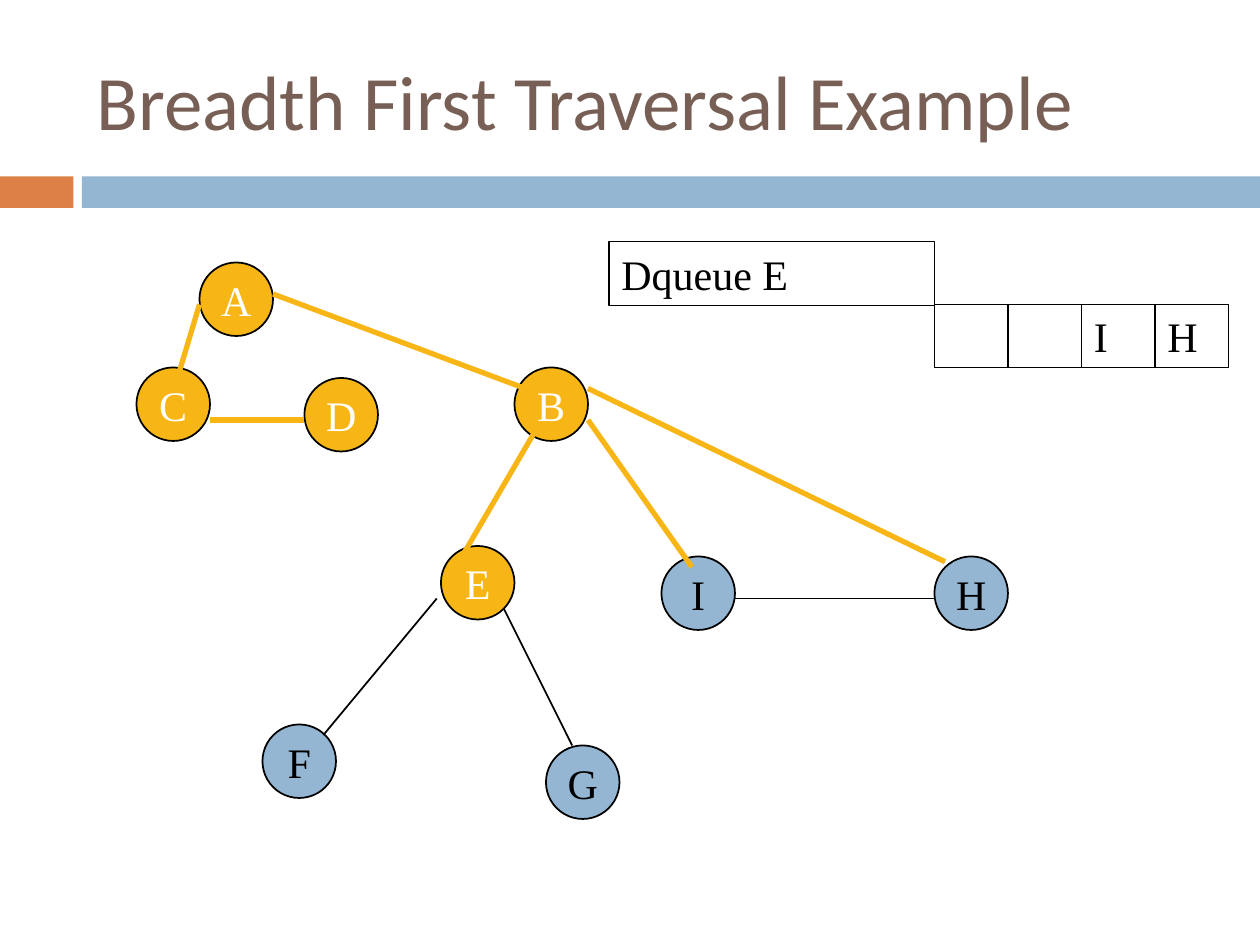
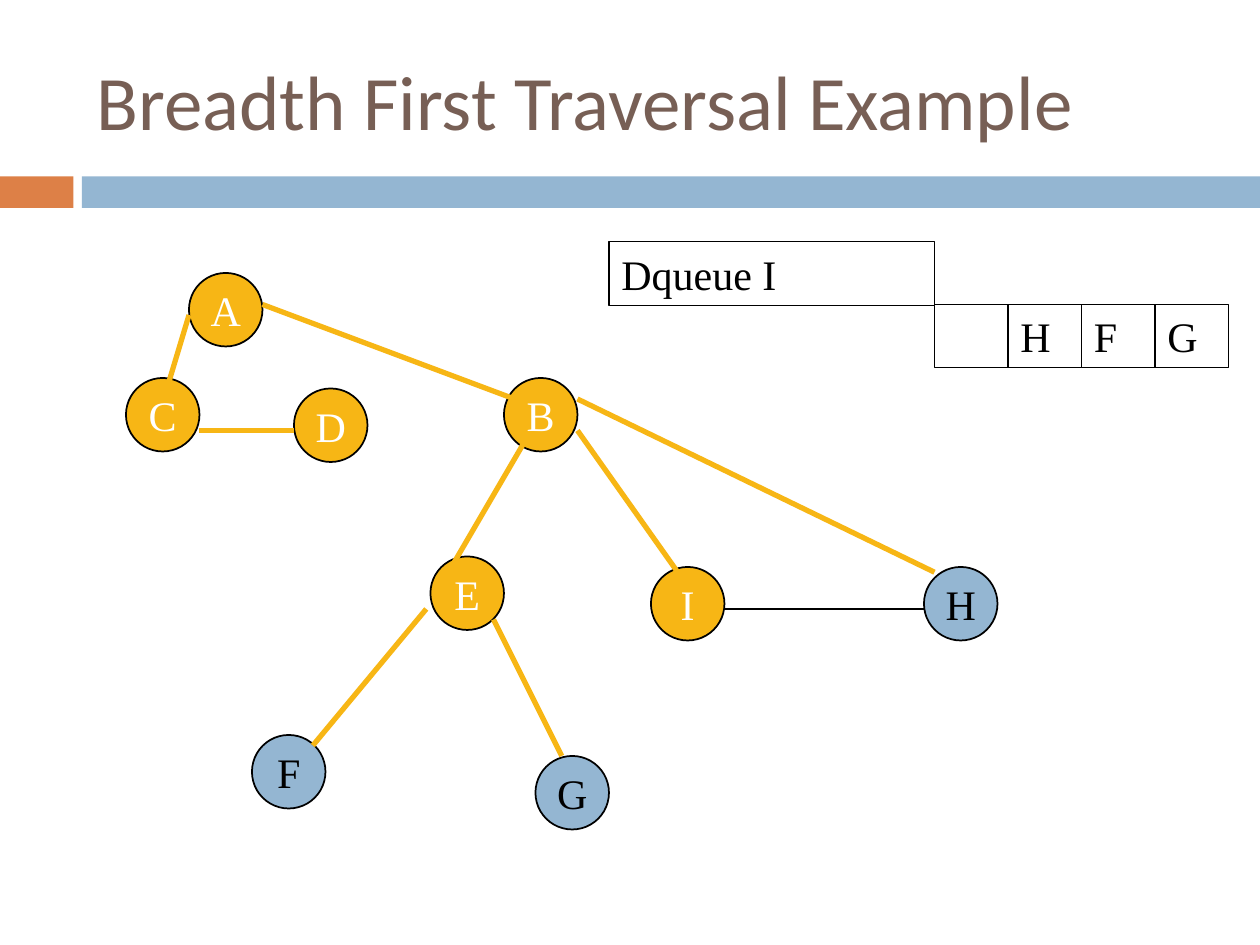
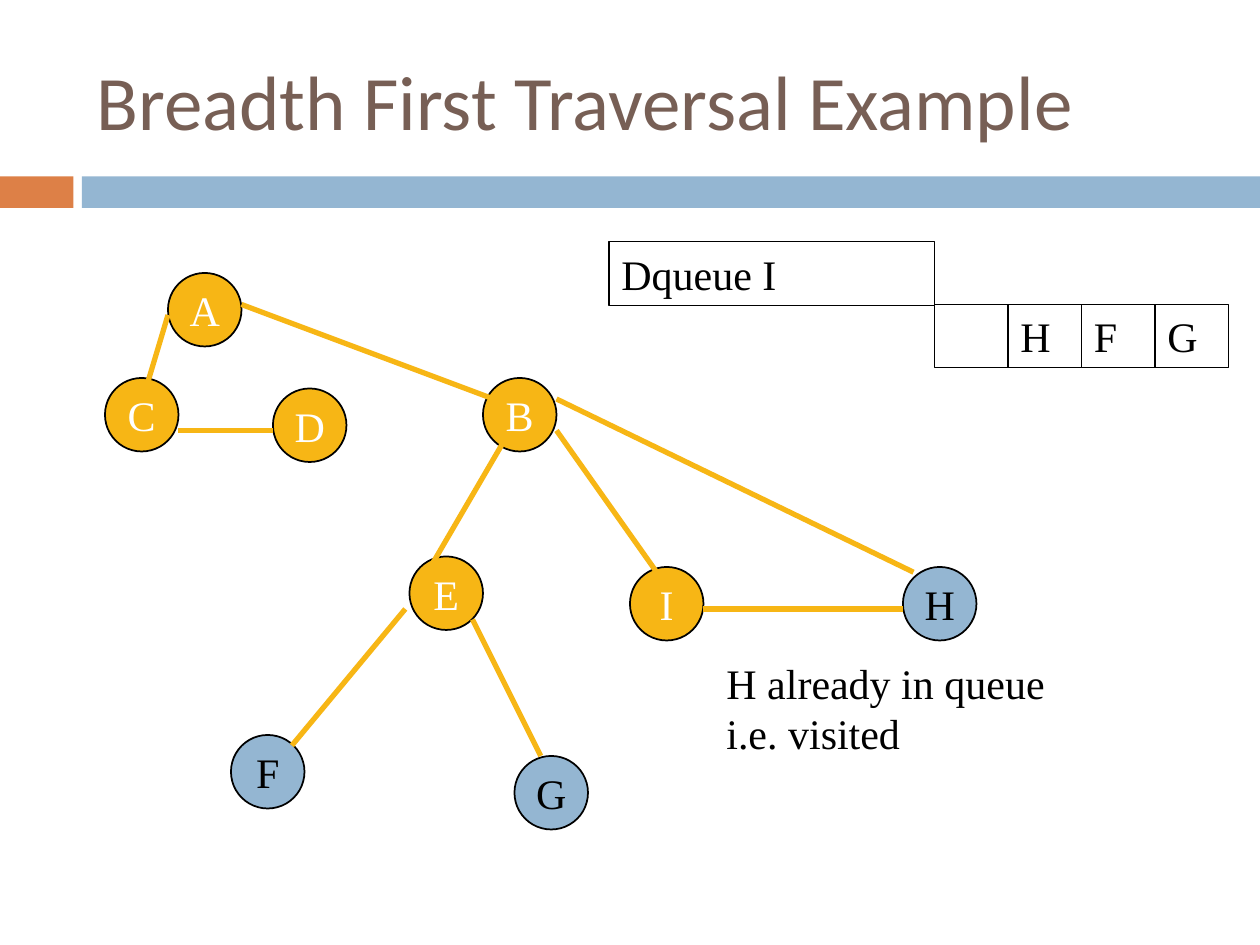
from lxml.etree import SubElement
from pptx import Presentation
from pptx.dml.color import RGBColor
from pptx.enum.shapes import MSO_CONNECTOR, MSO_SHAPE
from pptx.enum.text import MSO_ANCHOR, PP_ALIGN
from pptx.oxml.ns import qn
from pptx.util import Pt

PX = 7620
COLORS = {
    "title": "775F55", "accent": "DD8047", "band": "94B6D2", "visited": "F7B615",
    "waiting": "94B6D2", "black": "000000", "white": "FFFFFF",
}
NODE_SIZE = 70
NODES = {
    "A": (190, 250), "C": (130, 350), "D": (290, 360), "B": (490, 350), "E": (420, 520),
    "F": (250, 690), "G": (520, 710), "I": (630, 530), "H": (890, 530),
}
EDGES = {
    "AC": (190, 290, 169, 360),
    "CD": (200, 400, 290, 400),
    "AB": (260, 280, 500, 370),
    "BE": (510, 410, 440, 530),
    "EF": (416, 570, 308, 700),
    "EG": (480, 580, 545, 710),
    "BI": (560, 400, 659, 540),
    "BH": (560, 370, 900, 535),
    "IH": (700, 570, 890, 570),
}
STEPS = [
    {"offset": (0, 0), "visited": "ABCDE", "untravelled": ["EF", "EG", "IH"],
     "removed": "Dqueue E", "queue": ["", "", "I", "H"], "remark": ""},
    {"offset": (-10, 10), "visited": "ABCDEI", "untravelled": ["IH"],
     "removed": "Dqueue I", "queue": ["", "H", "F", "G"], "remark": ""},
    {"offset": (-30, 10), "visited": "ABCDEI", "untravelled": [],
     "removed": "Dqueue I", "queue": ["", "H", "F", "G"],
     "remark": "H already in queue i.e. visited"},
]


def write(frame, text, color="black", font="Times New Roman", size=24,
          align=PP_ALIGN.LEFT, anchor=MSO_ANCHOR.MIDDLE, wrap=True):
    frame.text = text
    frame.word_wrap = wrap
    frame.vertical_anchor = anchor
    paragraph = frame.paragraphs[0]
    paragraph.alignment = align
    paragraph.font.name = font
    paragraph.font.size = Pt(size)
    paragraph.font.color.rgb = RGBColor.from_string(COLORS[color])


def add_filled(slide, kind, x, y, width, height, fill, line_width=0):
    shape = slide.shapes.add_shape(kind, x * PX, y * PX, width * PX, height * PX)
    shape.shadow.inherit = False
    shape.fill.solid()
    shape.fill.fore_color.rgb = RGBColor.from_string(COLORS[fill])
    if line_width:
        shape.line.color.rgb = RGBColor.from_string(COLORS["black"])
        shape.line.width = Pt(line_width)
    else:
        shape.line.fill.background()
    return shape


deck = Presentation()
deck.slide_width, deck.slide_height = 1200 * PX, 900 * PX
layout = deck.slide_layouts[5]
heading = layout.placeholders[0]
heading.left, heading.top, heading.width, heading.height = 80 * PX, 30 * PX, 1070 * PX, 130 * PX

for step in STEPS:
    slide = deck.slides.add_slide(layout)
    write(slide.shapes.title.text_frame, "Breadth First Traversal Example",
          color="title", font="Calibri", size=44)
    dx, dy = step["offset"]

    for letter, (x, y) in NODES.items():
        visited = letter in step["visited"]
        node = add_filled(slide, MSO_SHAPE.OVAL, x + dx, y + dy, NODE_SIZE, NODE_SIZE,
                          "visited" if visited else "waiting", 1)
        write(node.text_frame, letter, color="white" if visited else "black",
              align=PP_ALIGN.CENTER, wrap=False)

    for ends, (x1, y1, x2, y2) in EDGES.items():
        travelled = ends not in step["untravelled"]
        edge = slide.shapes.add_connector(
            MSO_CONNECTOR.STRAIGHT, (x1 + dx) * PX, (y1 + dy) * PX,
            (x2 + dx) * PX, (y2 + dy) * PX)
        edge.line.color.rgb = RGBColor.from_string(COLORS["visited" if travelled else "black"])
        edge.line.width = Pt(3 if travelled else 1)
        SubElement(edge.element.spPr, qn("a:effectLst"))

    for position, letter in enumerate(step["queue"]):
        cell = add_filled(slide, MSO_SHAPE.RECTANGLE, 890 + 70 * position, 290, 70, 60,
                          "white", 0.75)
        if letter:
            write(cell.text_frame, letter, wrap=False)
    removed = add_filled(slide, MSO_SHAPE.RECTANGLE, 580, 230, 310, 61, "white", 0.75)
    write(removed.text_frame, step["removed"])

    if step["remark"]:
        remark = slide.shapes.add_textbox(680 * PX, 620 * PX, 380 * PX, 108 * PX)
        write(remark.text_frame, step["remark"], anchor=MSO_ANCHOR.TOP)

for x, width, fill in [(0, 70, "accent"), (78, 1122, "band")]:
    band = add_filled(deck.slides[0], MSO_SHAPE.RECTANGLE, x, 168, width, 30, fill)
    layout.shapes.element.append(band.element)

deck.save("out.pptx")
